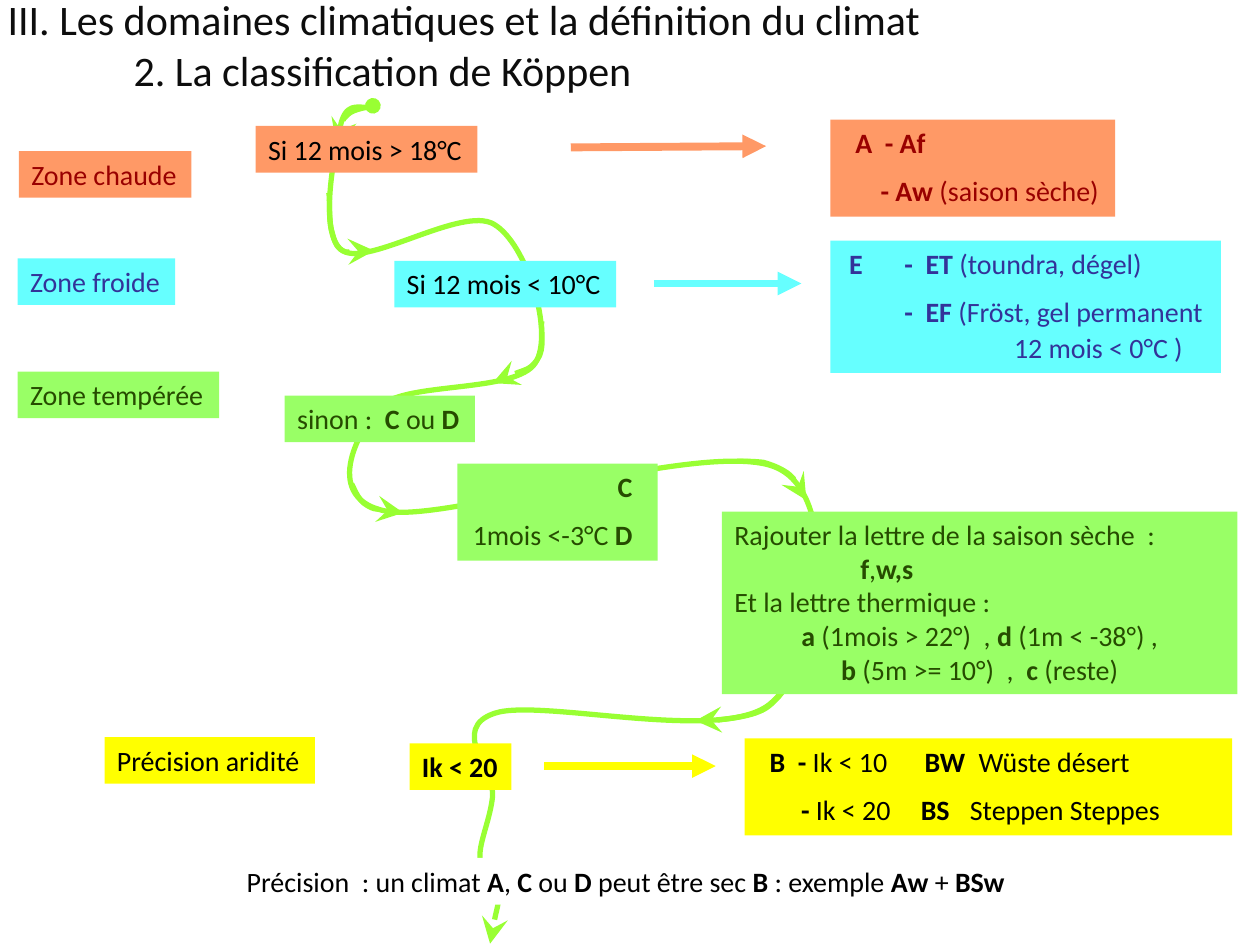
"""Build a slide on the Köppen climate classification, on a grid of 100 columns by 75 rows."""
import lxml.etree
import pptx
import pptx.dml.color
import pptx.enum.shapes
import pptx.enum.text
import pptx.oxml.ns
import pptx.util

RGBColor = pptx.dml.color.RGBColor
ALIGN = pptx.enum.text.PP_ALIGN
ORANGE = RGBColor(0xFF, 0x99, 0x66)
CYAN = RGBColor(0x66, 0xFF, 0xFF)
GREEN = RGBColor(0x99, 0xFF, 0x66)
YELLOW = RGBColor(0xFF, 0xFF, 0x00)
WHITE = RGBColor(0xFF, 0xFF, 0xFF)
BLACK = RGBColor(0x00, 0x00, 0x00)
INK = RGBColor(0x0D, 0x0D, 0x0D)
DARK_RED = RGBColor(0x99, 0x00, 0x00)
NAVY = RGBColor(0x33, 0x33, 0x99)
DARK_GREEN = RGBColor(0x26, 0x4C, 0x00)
LIME = RGBColor(0x99, 0xFF, 0x33)

COLUMNS, ROWS = 100, 75
FONT = "Calibri"
ONE_LINE, TWO_LINES = 3.7, 7.7
INSET, NARROW, WIDE = 1, 0.4, 1.5
GAP = 8

TITLE = [
    ("III. Les domaines climatiques et la définition du climat", {}),
    ("\t2. La classification de Köppen", {"tabs": (10,)}),
]

BOXES = [
    ((20.3, 10, 17.6, ONE_LINE), ORANGE, BLACK, [("Si 12 mois > 18°C", {})]),
    ((31.3, 20.7, 17.6, ONE_LINE), CYAN, BLACK, [("Si 12 mois < 10°C", {})]),
    ((22.6, 31.4, 15.1, ONE_LINE), GREEN, DARK_GREEN, [("sinon :  *C* ou *D*", {})]),
    ((65.9, 9.5, 22.6, TWO_LINES), ORANGE, DARK_RED, [
        ("\t*A  - Af*", {"tabs": (1,)}),
        ("\t*- Aw* (saison sèche)", {"tabs": (3,), "before": GAP})]),
    ((65.9, 19.1, 31, 10.5), CYAN, NAVY, [
        ("\t*E\t-  ET* (toundra, dégel)", {"tabs": (0.5, 4.9)}),
        ("\t*-  EF* (Fröst, gel permanent", {"tabs": (4.9,), "before": GAP}),
        ("\t12 mois < 0°C )", {"tabs": (13.6,), "before": 1.5})]),
    ((36.3, 36.8, 15.9, TWO_LINES), GREEN, DARK_GREEN, [
        ("*C*", {"align": ALIGN.RIGHT, "right": 0.5}),
        ("1mois <-3°C *D*", {"align": ALIGN.RIGHT, "before": GAP})]),
    ((32.5, 59, 8.1, ONE_LINE), YELLOW, BLACK, [("*Ik < 20*", {})]),
    ((18.6, 68.1, 64.1, ONE_LINE), WHITE, BLACK, [
        ("Précision  : un climat *A*, *C* ou *D* peut être sec *B* : exemple *Aw* + *BSw*", {})]),
    ((59.1, 58.6, 38.7, TWO_LINES), YELLOW, BLACK, [
        ("\t*B  -* Ik < 10\t*BW*\tWüste désert", {"tabs": (1, 13.3, 17.6)}),
        ("\t*-* Ik < 20\t*BS*\tSteppen Steppes", {"tabs": (3.5, 13, 16.9), "before": GAP})]),
    ((1.5, 12, 13.7, ONE_LINE), ORANGE, DARK_RED, [("Zone chaude", {})]),
    ((1.4, 20.5, 12.5, ONE_LINE), CYAN, NAVY, [("Zone froide", {})]),
    ((1.4, 29.5, 16, ONE_LINE), GREEN, DARK_GREEN, [("Zone tempérée", {})]),
    ((8.3, 58.5, 16.7, ONE_LINE), YELLOW, BLACK, [("Précision aridité", {})]),
    ((57.3, 40.6, 40.9, 14.5), GREEN, DARK_GREEN, [
        ("Rajouter la lettre de la saison sèche  :", {}),
        ("\t*f*,*w,s*", {"tabs": (10,)}),
        ("Et la lettre thermique :", {}),
        ("*a* (1mois > 22°)  , *d* (1m < -38°) ,", {"align": ALIGN.CENTER}),
        ("*b* (5m >= 10°)  ,  *c* (reste)", {"align": ALIGN.CENTER})]),
]

ARROWS = [
    ((45.3, 11.7), (60.8, 11.6), ORANGE),
    ((51.9, 22.5), (63.6, 22.5), CYAN),
    ((43.2, 60.8), (56.8, 60.8), YELLOW),
]

PATH_CURVES = [
    ((29.6, 8.4), [
        (29.1, 8.7, 27.4, 8.1, 27, 10.1), (26.6, 12, 25.2, 18.6, 27.2, 19.9),
        (29.2, 21.2, 36.7, 16.3, 39.2, 17.8), (41.8, 19.3, 44, 26.4, 42.5, 28.8),
        (41, 31.2, 32.2, 30.3, 30.3, 32.2), (28.3, 34.2, 25.5, 39.7, 30.8, 40.6),
        (36, 41.4, 56.8, 34.6, 61.8, 37.2), (66.9, 39.7, 65, 52.6, 61.2, 55.8),
        (57.5, 59.1, 43, 55.4, 39.3, 56.6), (35.6, 57.8, 39.3, 61.3, 39.1, 63.2),
        (38.9, 65.1, 38, 66.9, 38.1, 68.1), (38.1, 69.2, 39.4, 69.2, 39.6, 70.3),
        (39.7, 71.4, 39, 73.9, 38.9, 74.9)]),
    ((58.5, 36.6), [(58.8, 36.6, 59.9, 36.6, 60.6, 36.7), (61.3, 36.9, 62.1, 37.2, 62.7, 37.7),
                    (63.2, 38.2, 63.8, 39.3, 64, 39.7)]),
    ((27.9, 38.4), [(28.1, 38.7, 28.4, 39.7, 29.1, 40.1), (29.8, 40.5, 31.4, 40.6, 32, 40.7)]),
    ((26.1, 15.3), [(26.2, 15.8, 26.1, 17.4, 26.3, 18.2), (26.5, 18.9, 26.6, 19.6, 27.2, 19.9),
                    (27.7, 20.1, 29.1, 19.9, 29.7, 19.9)]),
    ((43, 25.5), [(42.9, 26, 43.3, 27.8, 42.6, 28.6), (42, 29.4, 39.8, 30, 39.1, 30.4)]),
    ((29.7, 8.4), [(29.4, 8.5, 28.1, 8.6, 27.6, 9.1), (27, 9.7, 26.9, 11, 26.7, 11.5)]),
    ((62.6, 54.1), [(62.4, 54.3, 62.2, 54.9, 61.8, 55.3), (61.4, 55.7, 61, 56.2, 60.2, 56.5),
                    (59.5, 56.8, 58.3, 57, 57.4, 57.1), (56.6, 57.2, 55.7, 57.1, 55.2, 57.2)]),
]
OVAL = {"type": "oval"}
STEALTH = {"type": "stealth", "w": "lg", "len": "lg"}
TRIANGLE = {"type": "triangle"}

presentation = pptx.Presentation()
presentation.slide_width = pptx.util.Inches(10)
presentation.slide_height = pptx.util.Inches(7.5)
slide = presentation.slides.add_slide(presentation.slide_layouts[5])
qn = pptx.oxml.ns.qn


def across(columns):
    return pptx.util.Emu(round(columns * presentation.slide_width / COLUMNS))


def down(rows):
    return pptx.util.Emu(round(rows * presentation.slide_height / ROWS))


def apply_format(target, values):
    for name, value in values.items():
        setattr(target, name, value)


def write_text(frame, lines, size, color):
    alignments = {options.get("align") for _, options in lines}
    right = {ALIGN.RIGHT: WIDE, ALIGN.CENTER: INSET}
    margin = max(right.get(alignment, NARROW) for alignment in alignments)
    apply_format(frame, {
        "word_wrap": True, "auto_size": pptx.enum.text.MSO_AUTO_SIZE.NONE,
        "vertical_anchor": pptx.enum.text.MSO_ANCHOR.TOP,
        "margin_left": across(INSET), "margin_right": across(margin),
        "margin_top": down(0.5), "margin_bottom": down(0.5)})
    for index, (text, options) in enumerate(lines):
        paragraph = frame.add_paragraph() if index else frame.paragraphs[0]
        properties = paragraph._p.get_or_add_pPr()
        if "tabs" in options:
            stops = lxml.etree.SubElement(properties, qn("a:tabLst"))
            for position in options["tabs"]:
                lxml.etree.SubElement(stops, qn("a:tab"), pos=str(across(position)), algn="l")
        if "right" in options:
            properties.set("marR", str(across(options["right"])))
        paragraph.alignment = options.get("align", ALIGN.LEFT)
        if "before" in options:
            paragraph.space_before = pptx.util.Pt(options["before"])
        for part, piece in enumerate(text.split("*")):
            if piece:
                run = paragraph.add_run()
                run.text = piece
                apply_format(run.font, {"name": FONT, "size": pptx.util.Pt(size),
                                        "bold": part % 2 == 1})
                run.font.color.rgb = color


def style_line(shape, color, width, **ends):
    shape.line.color.rgb = color
    shape.line.width = pptx.util.Pt(width)
    for end, marks in ends.items():
        lxml.etree.SubElement(shape.line._get_or_add_ln(), qn(f"a:{end}End"), **marks)


def add_curve(shapes, start, curves):
    builder = shapes.build_freeform(across(start[0]), down(start[1]))
    points = [(across(x), down(y)) for curve in curves for x, y in zip(curve[::2], curve[1::2])]
    builder.add_line_segments(points, close=False)
    shape = builder.convert_to_shape()
    segments = list(shape._element.iter(qn("a:lnTo")))
    for first in range(0, len(segments), 3):
        bend = lxml.etree.Element(qn("a:cubicBezTo"))
        segments[first].addprevious(bend)
        for segment in segments[first:first + 3]:
            bend.append(segment[0])
            segment.getparent().remove(segment)
    shape.fill.background()
    shape.shadow.inherit = False
    return shape


path_group = slide.shapes.add_group_shape()
for index, (start, curves) in enumerate(PATH_CURVES):
    ends = {"tail": STEALTH} if index else {"head": OVAL, "tail": STEALTH}
    style_line(add_curve(path_group.shapes, start, curves), LIME, 3, **ends)

for (left, top, width, height), fill, color, lines in BOXES:
    box = slide.shapes.add_shape(pptx.enum.shapes.MSO_SHAPE.RECTANGLE,
                                 across(left), down(top), across(width), down(height))
    box.shadow.inherit = False
    box.fill.solid()
    box.fill.fore_color.rgb = fill
    box.line.fill.background()
    write_text(box.text_frame, lines, 16, color)

for begin, end, color in ARROWS:
    arrow = slide.shapes.add_connector(pptx.enum.shapes.MSO_CONNECTOR.STRAIGHT,
                                       across(begin[0]), down(begin[1]),
                                       across(end[0]), down(end[1]))
    style_line(arrow, color, 4.5, tail=TRIANGLE)
    lxml.etree.SubElement(arrow._element.spPr, qn("a:effectLst"))

title = slide.shapes.title
apply_format(title, {"left": across(-0.4), "top": down(-1),
                     "width": across(97.4), "height": down(9.1)})
write_text(title.text_frame, TITLE, 24, INK)

presentation.save("out.pptx")
